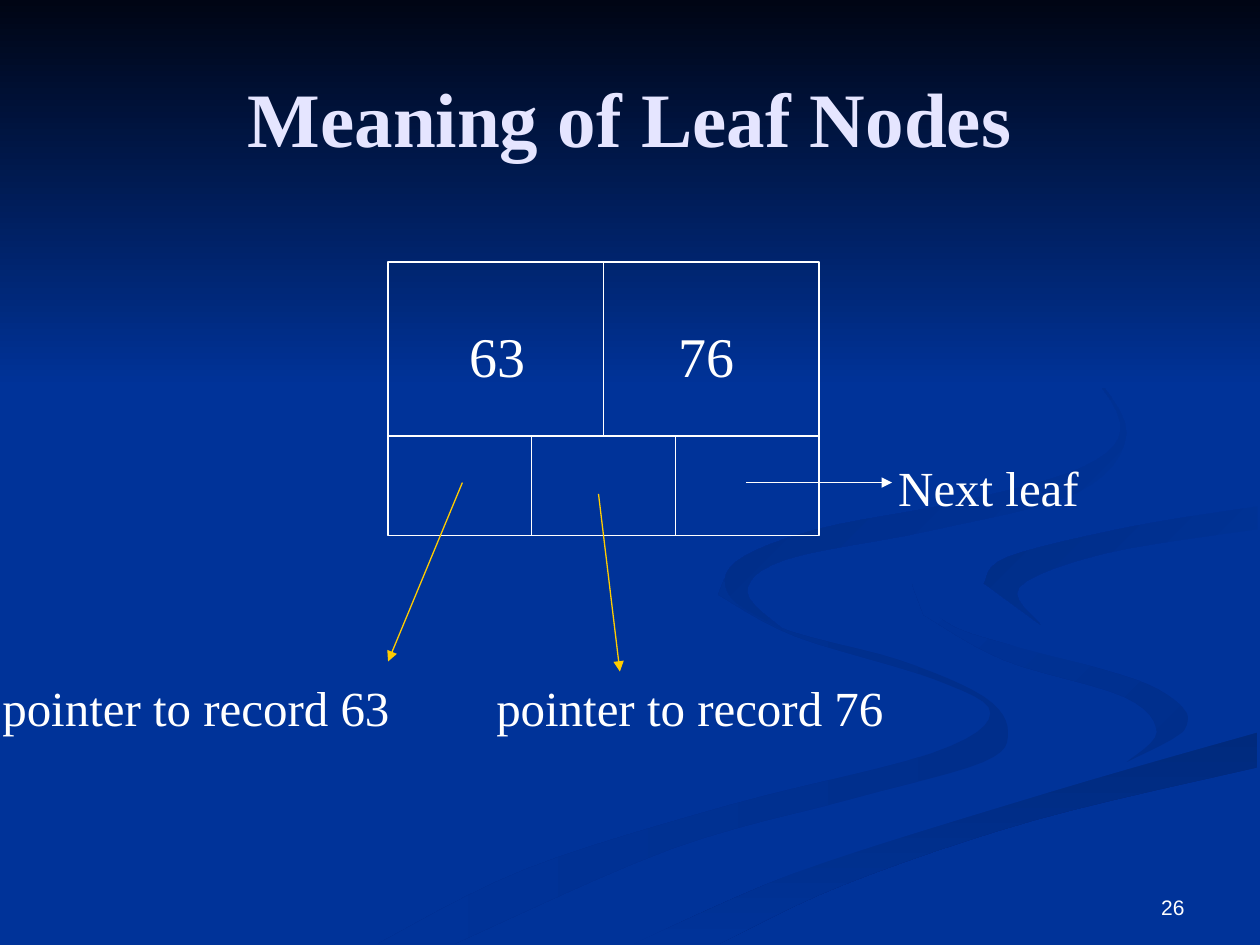
from lxml import etree
from pptx import Presentation
from pptx.dml.color import RGBColor
from pptx.enum.shapes import MSO_CONNECTOR, MSO_SHAPE
from pptx.enum.text import MSO_ANCHOR, MSO_AUTO_SIZE, PP_ALIGN
from pptx.oxml.ns import qn
from pptx.util import Emu, Pt

PX = 9144  # EMU per px, 100 px to the inch
SLIDE_W, SLIDE_H = 1000, 750
LEFT, CENTER, RIGHT = PP_ALIGN.LEFT, PP_ALIGN.CENTER, PP_ALIGN.RIGHT
TOP, MIDDLE, BOTTOM = MSO_ANCHOR.TOP, MSO_ANCHOR.MIDDLE, MSO_ANCHOR.BOTTOM
SERIF, SANS = "Times New Roman", "Arial"
COLORS = {
    "blue": "003399", "night": "000514", "title": "E5E5FF", "white": "FFFFFF",
    "gold": "FFCC00", "shade1": "002E8B", "shade2": "002A7D",
    "shade3": "002D86", "shade4": "002B82",
}

# First colour, last colour, clockwise angle, edges that meet in corners
RIBBONS = [
    ("shade1", "blue", 180, [
        [(575, 459), (614, 496), (714, 524), (781, 553), (800, 581),
         (780, 605), (676, 634), (532, 674), (361, 749)],
        [(300, 749), (417, 690), (579, 639), (739, 598), (786, 566),
         (741, 539), (631, 505), (570, 472)]]),
    ("shade1", "blue", 225, [
        [(724, 464), (758, 498), (850, 524), (919, 547), (943, 576), (894, 605)],
        [(894, 605), (918, 581), (892, 553), (797, 524), (733, 488)]]),
    ("shade2", "blue", 90, [
        [(503, 749), (630, 693), (764, 647), (998, 581)],
        [(998, 609), (821, 651), (670, 702), (571, 749)]]),
    ("blue", "blue", 0, [
        [(477, 749), (573, 703), (743, 643), (902, 603), (943, 570), (905, 540),
         (793, 509), (731, 479), (742, 439), (874, 408), (999, 387)],
        [(999, 402), (865, 424), (781, 463), (832, 498), (999, 538)],
        [(999, 581), (832, 629), (630, 693), (503, 749)]]),
    ("blue", "shade3", 225, [
        [(781, 463), (800, 442), (898, 418), (998, 402)],
        [(998, 420), (878, 439), (809, 466), (826, 496)]]),
    ("blue", "shade4", 225, [
        [(762, 233), (846, 279), (889, 335), (861, 370), (763, 398),
         (649, 420), (584, 446), (580, 474), (622, 500)],
        [(622, 500), (593, 470), (624, 444), (739, 421), (855, 391),
         (894, 344), (864, 291)]]),
]
SKY = (0, 0, SLIDE_W, 308)
CURVE_STEPS = 6

# Text, box, font, size, bold, colour, alignment, anchor
HEADINGS = [
    ("26", (717, 683, 233, 52), SANS, 12, False, "white", RIGHT, BOTTOM),
    ("Meaning of Leaf Nodes", (50, 30, 900, 125), SERIF, 44, True, "title",
     CENTER, MIDDLE),
]

NODE = (308, 208, 342, 217)  # left, top, width, height
KEY_ROW_H = 138
KEYS, POINTERS = 2, 3

# Text, box, size
LABELS = [
    ("63", (363, 250, 70, 64), 32),
    ("76", (529, 250, 70, 64), 32),
    ("pointer to record 63", (-8, 533, 389, 57), 28),
    ("pointer to record 76", (384, 533, 389, 57), 28),
    ("Next leaf", (703, 358, 185, 57), 28),
]

# Start, end, colour
ARROWS = [
    ((367, 383), (308, 525), "gold"),
    ((475, 392), (492, 533), "gold"),
    ((592, 383), (708, 383), "white"),
]


def rgb(name):
    return RGBColor.from_string(COLORS[name])


def emu(*lengths):
    return [Emu(round(v * PX)) for v in lengths]


def smooth(edge):
    """Return points on a Catmull-Rom curve through the points of an edge."""
    padded = [edge[0], *edge, edge[-1]]
    points = []
    for quad in zip(padded, padded[1:], padded[2:], padded[3:]):
        for step in range(CURVE_STEPS):
            t = step / CURVE_STEPS
            points.append(tuple(
                b + t * (c - a) / 2 + t**2 * (2 * a - 5 * b + 4 * c - d) / 2
                + t**3 * (3 * b - a - 3 * c + d) / 2
                for a, b, c, d in zip(*quad)))
    return points + [edge[-1]]


def paint(sp, first, last, angle):
    sp.shadow.inherit = False
    sp.line.fill.background()
    if first == last:
        sp.fill.solid()
        sp.fill.fore_color.rgb = rgb(first)
        return
    sp.fill.gradient()
    sp.fill.gradient_angle = (360 - angle) % 360  # counted anticlockwise
    for stop, name in zip(sp.fill.gradient_stops, (first, last)):
        stop.color.rgb = rgb(name)


def add_ribbon(s, first, last, angle, edges):
    points = [emu(*point) for edge in edges for point in smooth(edge)]
    builder = s.shapes.build_freeform(*points[0])
    builder.add_line_segments(points[1:], close=True)
    paint(builder.convert_to_shape(), first, last, angle)


def add_text(s, text, box, font, size, bold, color, align, anchor, wrap=True):
    tf = s.shapes.add_textbox(*emu(*box)).text_frame
    tf.word_wrap = wrap
    tf.auto_size = MSO_AUTO_SIZE.NONE if wrap else MSO_AUTO_SIZE.SHAPE_TO_FIT_TEXT
    tf.vertical_anchor = anchor
    p = tf.paragraphs[0]
    p.alignment = align
    r = p.add_run()
    r.text = text
    for name, value in {"name": font, "size": Pt(size), "bold": bold}.items():
        setattr(r.font, name, value)
    r.font.color.rgb = rgb(color)


def add_line(s, start, end, color="white", arrow=False):
    connector = s.shapes.add_connector(MSO_CONNECTOR.STRAIGHT, *emu(*start, *end))
    connector.line.color.rgb = rgb(color)
    connector.line.width = Pt(0.75)
    sp_pr = connector._element.spPr
    if arrow:
        etree.SubElement(sp_pr.find(qn("a:ln")), qn("a:tailEnd"), type="triangle")
    etree.SubElement(sp_pr, qn("a:effectLst"))


def add_node(s):
    left, top, width, height = NODE
    frame = s.shapes.add_shape(MSO_SHAPE.RECTANGLE, *emu(*NODE))
    frame.shadow.inherit = False
    frame.fill.background()
    frame.line.color.rgb = rgb("white")
    frame.line.width = Pt(1)
    middle = top + KEY_ROW_H
    add_line(s, (left, middle), (left + width, middle))
    for cells, y1, y2 in ((KEYS, top, middle), (POINTERS, middle, top + height)):
        for i in range(1, cells):
            x = left + width * i / cells
            add_line(s, (x, y1), (x, y2))


def main():
    prs = Presentation()
    prs.slide_width, prs.slide_height = emu(SLIDE_W, SLIDE_H)
    s = prs.slides.add_slide(prs.slide_layouts[6])
    s.background.fill.solid()
    s.background.fill.fore_color.rgb = rgb("blue")
    for ribbon in RIBBONS:
        add_ribbon(s, *ribbon)
    sky = s.shapes.add_shape(MSO_SHAPE.RECTANGLE, *emu(*SKY))
    paint(sky, "night", "blue", 90)
    for heading in HEADINGS:
        add_text(s, *heading)
    add_node(s)
    for text, box, size in LABELS:
        add_text(s, text, box, SERIF, size, False, "white", LEFT, TOP, wrap=False)
    for start, end, color in ARROWS:
        add_line(s, start, end, color, arrow=True)
    prs.save("out.pptx")


if __name__ == "__main__":
    main()
